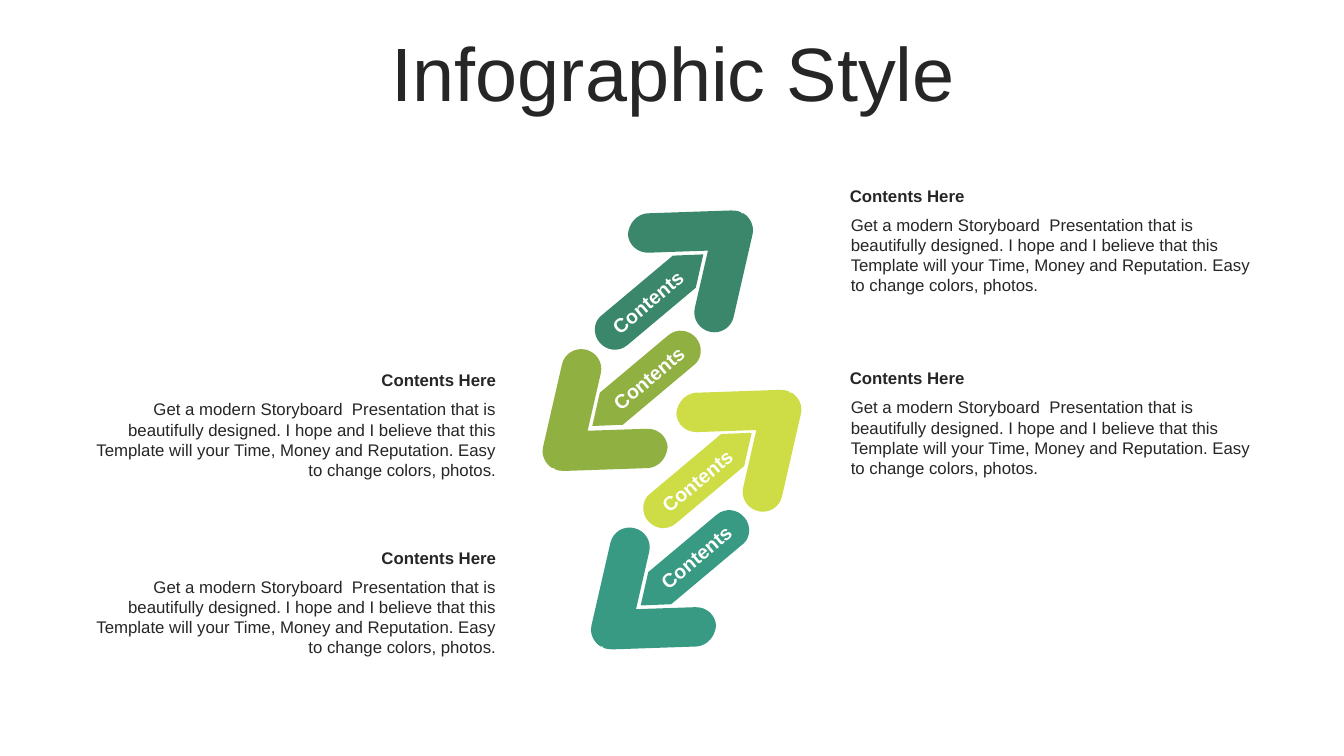
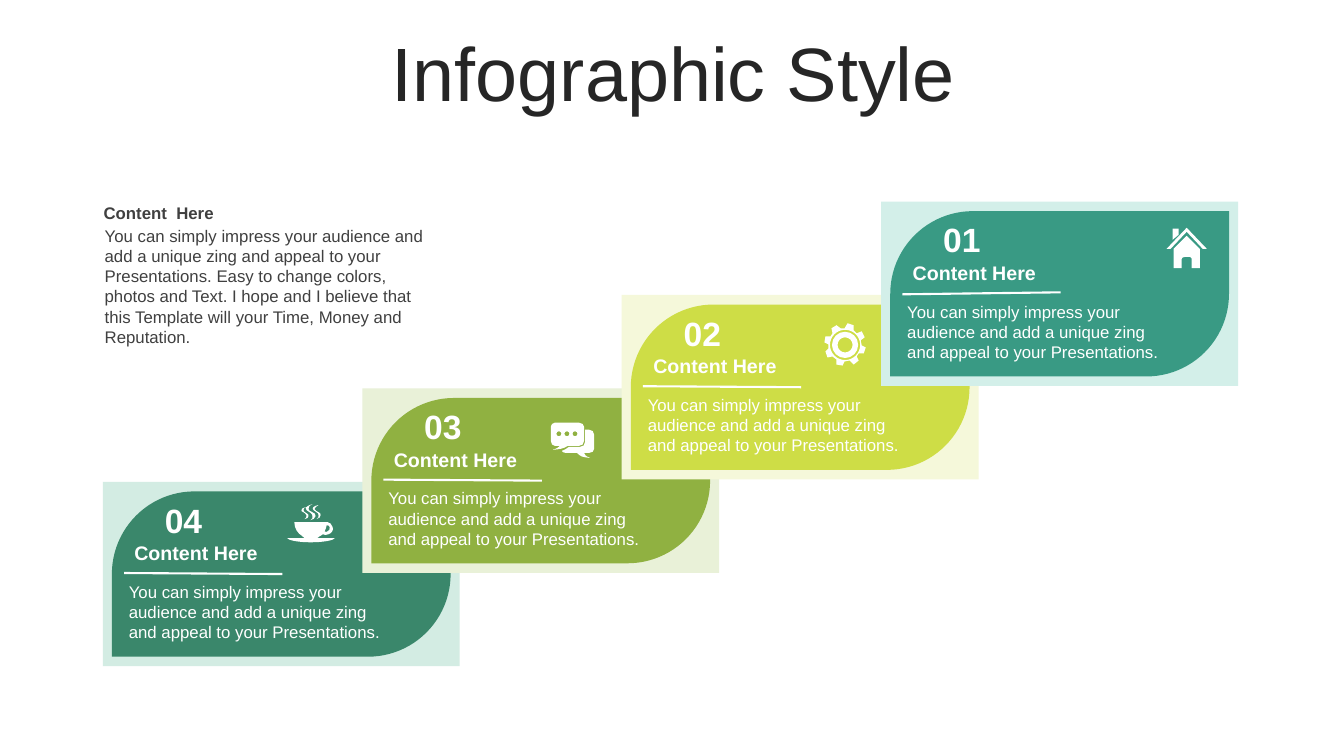
from dataclasses import dataclass

from lxml.etree import SubElement
from pptx import Presentation
from pptx.dml.color import RGBColor
from pptx.enum.shapes import MSO_CONNECTOR, MSO_SHAPE
from pptx.enum.text import MSO_ANCHOR, MSO_AUTO_SIZE, PP_ALIGN
from pptx.oxml.ns import qn
from pptx.util import Inches, Pt


@dataclass(frozen=True)
class Theme:
    font: str = "Arial"
    ink: str = "262626"
    gray: str = "404040"
    white: str = "FFFFFF"
    pine: str = "3A876B"
    moss: str = "90B141"
    lime: str = "CEDD46"
    teal: str = "399A84"
    title: int = 54
    number: int = 24
    label: int = 14
    body: int = 12


T = Theme()
LEFT, CENTER, RIGHT = PP_ALIGN.LEFT, PP_ALIGN.CENTER, PP_ALIGN.RIGHT

# Outlines are in hundredths of an inch: M move, L line, C curve, O circle, Z close.
HEAD = ("M 19.5 0 L 103.5 0 C 114.5 0 123 9 123 19.5 C 123 30.5 114.5 39.5 103.5 39.5 "
        "L 45 39.5 L 60 96 C 63 107 57 117.5 47 120.5 C 36 122 26 116.5 22.5 107 "
        "L 1 26 C 0 23 0 19 0.5 16.5 C 1 16 1 16 1.5 15 C 1 14 1 14 1 13.5 "
        "C 4 5.5 11 0 19.5 0 Z")
SHAFT = ("M 18.5 0 L 39 27 L 39 115.5 C 39 127 30 135 19 135 "
         "C 9 135 0.5 127 0 118 L 0 24 Z")
HOUSE = ("M 20 8 L 33 21 L 33 40 L 25 40 L 25 31 C 25 30 24 29 23 29 L 18 29 "
         "C 16 29 15 30 15 31 L 15 40 L 7 40 L 7 21 Z M 6 1 L 12 1 L 12 7 L 6 12 Z "
         "M 20 0 L 40 21 L 36 21 L 20 4 L 4 21 L 0 21 Z")
GEAR = ("O 20.5 21.5 7.5 O 20.5 21.5 13 O 20.5 21.5 15 "
        "M 29 2 L 29 7 L 32 10 L 37 8 L 40 14 L 36 17 L 37 22 L 41 24 L 39 30 "
        "L 34 30 L 32 33 L 34 37 L 29 41 L 25 37 L 20 38 L 18 42 L 12 41 L 12 36 "
        "L 8 33 L 3 34 L 1 28 L 4 25 L 4 21 L 0 19 L 1 13 L 6 13 L 8 10 L 7 5 "
        "L 12 2 L 16 5 L 20 5 L 23 0 Z")
CHAT = ("O 24 11 2.5 O 16 11 2.5 O 8 11 2.5 "
        "M 34 7 L 38 7 C 41 7 43 9 43 12 L 43 26 C 43 28 41 30 38 30 L 33 30 "
        "C 34 32 34 33 39 35 C 31 34 30 34 26 30 L 15 30 C 13 30 11 29 11 28 "
        "C 13 27 16 26 18 24 L 29 24 C 32 24 34 22 34 19 Z "
        "M 4 0 L 28 0 C 31 0 33 2 33 4 L 33 18 C 33 21 31 23 28 23 L 17 23 "
        "C 12 26 10 26 2 27 C 7 25 7 25 9 23 L 4 23 C 2 23 0 21 0 18 L 0 4 "
        "C 0 2 2 0 4 0 Z")
CUP = ("M 39 21 C 39 23 38 25 37 27 C 38 28 39 28 40 27 C 42 27 42 25 42 23 "
       "C 42 22 41 21 39 21 Z M 40 18 C 42 18 44 20 45 23 C 46 26 44 29 41 30 "
       "C 39 31 37 31 35 30 C 34 31 33 32 32 32 C 31 33 30 34 29 34 L 47 34 "
       "C 46 36 36 38 23 38 C 11 38 1 36 0 34 L 18 34 C 17 34 16 33 15 32 "
       "C 10 29 7 24 7 18 Z M 19 3 C 17 4 16 4 16 6 C 16 9 22 9 21 12 "
       "C 21 14 20 14 17 15 C 19 14 19 13 19 11 C 19 9 16 9 14 7 C 13 5 15 4 19 3 Z "
       "M 31 1 C 29 3 27 3 27 5 C 28 8 34 8 33 11 C 33 13 32 14 29 15 "
       "C 31 14 31 13 31 11 C 31 8 27 8 26 6 C 24 4 26 2 31 1 Z "
       "M 25 0 C 22 2 21 2 21 5 C 21 8 29 8 28 12 C 27 15 26 15 23 16 "
       "C 25 15 25 14 25 12 C 25 9 21 8 19 6 C 17 3 20 2 25 0 Z")

TITLE = "Infographic Style"
NOTE_HEAD = "Contents Here"
NOTE = ("Get a modern Storyboard  Presentation that is beautifully designed. "
        "I hope and I believe that this Template will your Time, Money and "
        "Reputation. Easy to change colors, photos.")
# left, top, width, align
NOTES = [(8.33, 1.79, 4.28, LEFT), (8.33, 3.6, 4.28, LEFT),
         (0.84, 3.62, 4.18, RIGHT), (0.84, 5.38, 4.18, RIGHT)]
# colour, corner of head, corner of shaft, label box, half turn
ARROWS = [(T.pine, (6.16, 1.99), (6.27, 2.29), (5.7, 2.83, 1.45, 0.34), 0),
          (T.moss, (5.46, 3.55), (6.19, 3.11), (5.75, 3.58, 1.37, 0.34), 180),
          (T.lime, (6.64, 3.77), (6.75, 4.06), (6.19, 4.6, 1.45, 0.34), 0),
          (T.teal, (5.94, 5.32), (6.67, 4.89), (6.22, 5.36, 1.37, 0.34), 180)]

INTRO_HEAD = "Content  Here"
INTRO = ("You can simply impress your audience and add a unique zing and appeal "
         "to your Presentations. Easy to change colors, photos and Text. I hope "
         "and I believe that this Template will your Time, Money and Reputation.")
CARD_HEAD = "Content Here"
CARD = ("You can simply impress your audience and add a unique zing and appeal "
        "to your Presentations.")
# number, colour, border colour, icon, icon offset, drop of the rule
CARDS = [("04", T.pine, "D3ECE3", CUP, (1.83, 0.22), 0.01),
         ("03", T.moss, "E9F1D8", CHAT, (1.87, 0.34), 0.01),
         ("02", T.lime, "F5F8DA", GEAR, (2.01, 0.28), 0.01),
         ("01", T.teal, "D3EFE9", HOUSE, (2.83, 0.26), -0.02)]
FIRST, LAST = (1.02, 4.78), (8.74, 2)
PANEL, LEAF = (3.54, 1.83), (3.36, 1.64)


def rgb(code):
    return RGBColor.from_string(code)


def paint(shape, color):
    shape.shadow.inherit = False
    shape.fill.solid()
    shape.fill.fore_color.rgb = rgb(color)
    shape.line.fill.background()
    return shape


def write(slide, box, words, size=T.body, color=T.ink, bold=False,
          align=LEFT, anchor=MSO_ANCHOR.TOP, inset=None, grow=True):
    shape = slide.shapes.add_textbox(*map(Inches, box))
    frame = shape.text_frame
    frame.word_wrap = True
    frame.vertical_anchor = anchor
    if grow:
        frame.auto_size = MSO_AUTO_SIZE.SHAPE_TO_FIT_TEXT
    if inset is not None:
        frame.margin_left = frame.margin_right = Inches(inset)
        frame.margin_top = frame.margin_bottom = Inches(inset)
    par = frame.paragraphs[0]
    par.text = words
    par.alignment = align
    font = par.font
    font.name, font.size, font.bold = T.font, Pt(size), bold
    font.color.rgb = rgb(color)
    return shape


def ring(x, y, r):
    """Points of a circle made of four curves."""
    k = 0.55 * r
    return [(x, y - r), (x + k, y - r), (x + r, y - k), (x + r, y),
            (x + r, y + k), (x + k, y + r), (x, y + r),
            (x - k, y + r), (x - r, y + k), (x - r, y),
            (x - r, y - k), (x - k, y - r), (x, y - r)]


def trace(outline):
    """Return the points of each contour, and the kinds of all segments."""
    parts, kinds, marks = [], "", outline.split()
    while marks:
        mark = marks.pop(0)
        count = {"M": 2, "L": 2, "C": 6, "O": 3, "Z": 0}[mark]
        nums = [float(marks.pop(0)) for _ in range(count)]
        if mark == "O":
            parts.append(ring(*nums))
            kinds += "CCCC"
        elif mark == "M":
            parts.append([tuple(nums)])
        elif mark in "LC":
            parts[-1] += zip(nums[::2], nums[1::2])
            kinds += mark
    return parts, kinds


def bend(shape, kinds):
    """Join each three steps that belong to a curve into one curve element."""
    steps = iter(list(shape._element.iter(qn("a:lnTo"))))
    for kind in kinds:
        step = next(steps)
        if kind == "C":
            step.tag = qn("a:cubicBezTo")
            for _ in range(2):
                extra = next(steps)
                step.append(extra[0])
                extra.getparent().remove(extra)


def draw(slide, outline, x, y, color, turn=0):
    pen = None
    parts, kinds = trace(outline)
    for part in parts:
        spots = [(Inches(x + a / 100), Inches(y + b / 100)) for a, b in part]
        if pen is None:
            pen = slide.shapes.build_freeform(*spots[0])
        else:
            pen.move_to(*spots[0])
        pen.add_line_segments(spots[1:], close=True)
    shape = paint(pen.convert_to_shape(), color)
    bend(shape, kinds)
    shape.rotation = turn


def rule(slide, x1, y1, x2, y2):
    line = slide.shapes.add_connector(
        MSO_CONNECTOR.STRAIGHT, *map(Inches, (x1, y1, x2, y2)))
    line.line.color.rgb = rgb(T.white)
    line.line.width = Pt(1.5)
    SubElement(line._element.spPr, qn("a:effectLst"))


def start(deck):
    """Add a blank slide with the shared title."""
    slide = deck.slides.add_slide(deck.slide_layouts[6])
    title = write(slide, (0.35, 0.37, 12.66, 0.79), TITLE, T.title,
                  align=CENTER, anchor=MSO_ANCHOR.MIDDLE, grow=False)
    title.text_frame.paragraphs[0].line_spacing = 0.9
    return slide


def arrows(deck):
    slide = start(deck)
    for color, head, shaft, _, turn in ARROWS:
        draw(slide, HEAD, *head, color, turn + 102.9)
        draw(slide, SHAFT, *shaft, color, turn + 50)
    for _, _, _, box, _ in ARROWS:
        label = write(slide, box, "Contents", T.label, T.white, True, CENTER)
        label.rotation = 320
    for x, y, width, align in NOTES:
        write(slide, (x + 0.01, y + 0.29, width - 0.01, 0.91), NOTE, align=align)
        write(slide, (x, y, width, 0.3), NOTE_HEAD, bold=True, align=align)


def cards(deck):
    slide = start(deck)
    add = slide.shapes.add_shape
    last = len(CARDS) - 1
    spots = [tuple(a + (b - a) * i / last for a, b in zip(FIRST, LAST))
             for i in range(len(CARDS))]
    for (x, y), (_, color, pale, *_) in zip(spots, CARDS):
        paint(add(MSO_SHAPE.RECTANGLE, *map(Inches, (x, y, *PANEL))), pale)
        dx, dy = ((a - b) / 2 for a, b in zip(PANEL, LEAF))
        leaf = paint(add(MSO_SHAPE.ROUND_2_DIAG_RECTANGLE,
                         *map(Inches, (x + dx, y + dy, *LEAF))), color)
        leaf.adjustments[0] = 0.5
        leaf.adjustments[1] = 0
    for (x, y), (number, _, _, icon, (dx, dy), drop) in zip(spots, CARDS):
        write(slide, (x + 0.5, y + 0.15, 0.6, 0.45), number, T.number, T.white,
              True, CENTER, MSO_ANCHOR.MIDDLE, 0, False)
        write(slide, (x + 0.16, y + 0.94, 2.83, 0.71), CARD, color=T.white)
        write(slide, (x + 0.16, y + 0.54, 1.53, 0.34), CARD_HEAD, T.label,
              T.white, True, CENTER)
        mid = y + 0.91
        rule(slide, x + 0.21, mid - drop / 2, x + 1.78, mid + drop / 2)
        draw(slide, icon, x + dx, y + dy, T.white)
    write(slide, (0.93, 1.96, 3.46, 0.3), INTRO_HEAD, color=T.gray, bold=True,
          anchor=MSO_ANCHOR.MIDDLE)
    write(slide, (0.94, 2.19, 3.44, 1.31), INTRO, color=T.gray)


def main():
    deck = Presentation()
    deck.slide_width, deck.slide_height = Inches(13.33), Inches(7.5)
    arrows(deck)
    cards(deck)
    deck.save("out.pptx")


if __name__ == "__main__":
    main()
